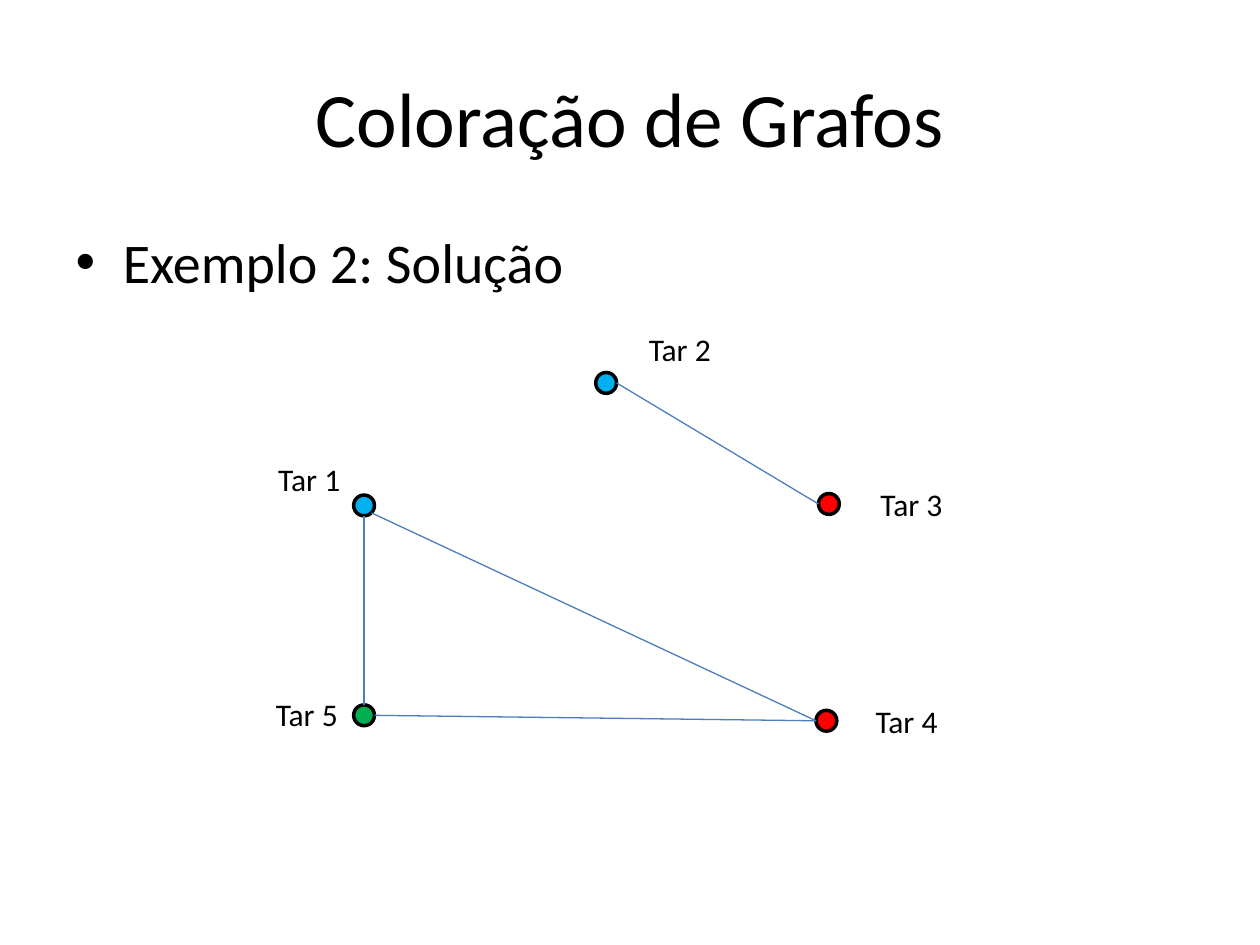
from lxml import etree
from pptx import Presentation
from pptx.dml.color import RGBColor
from pptx.enum.shapes import MSO_CONNECTOR, MSO_SHAPE
from pptx.enum.text import MSO_ANCHOR, MSO_AUTO_SIZE, PP_ALIGN
from pptx.oxml.ns import qn
from pptx.util import Cm, Pt

STRAIGHT = MSO_CONNECTOR.STRAIGHT
OVAL = MSO_SHAPE.OVAL
MIDDLE = MSO_ANCHOR.MIDDLE
CENTER = PP_ALIGN.CENTER
NO_AUTOFIT = MSO_AUTO_SIZE.NONE
FIT_SHAPE = MSO_AUTO_SIZE.SHAPE_TO_FIT_TEXT

BLACK = RGBColor(0x00, 0x00, 0x00)
BLUE = RGBColor(0x00, 0xB0, 0xF0)
GREEN = RGBColor(0x00, 0xB0, 0x50)
RED = RGBColor(0xFF, 0x00, 0x00)
EDGE_BLUE = RGBColor(0x4B, 0x7E, 0xBC)
FONT = "Calibri"

RADIUS = 0.21
DIAGONAL = 0.71 * RADIUS

# Name: (center in cm, label corner in cm, color)
TASKS = {
    "Tar 1": ((7.34, 10.19), (5.36, 9.14), BLUE),
    "Tar 5": ((7.34, 14.42), (5.31, 13.89), GREEN),
    "Tar 3": ((16.71, 10.16), (17.5, 9.65), RED),
    "Tar 2": ((12.22, 7.72), (12.83, 6.53), BLUE),
    "Tar 4": ((16.66, 14.53), (17.4, 14.02), RED),
}

# Offsets from a node's center to the points where edges touch it
SIDES = {
    "top": (0, -RADIUS),
    "left": (-RADIUS, 0),
    "bottom": (0, RADIUS),
    "right": (RADIUS, 0),
    "bottom right": (DIAGONAL, DIAGONAL),
}

EDGES = [
    (("Tar 2", "right"), ("Tar 3", "left")),
    (("Tar 1", "bottom right"), ("Tar 4", "left")),
    (("Tar 1", "bottom"), ("Tar 5", "top")),
    (("Tar 5", "right"), ("Tar 4", "left")),
]


def format_text(text_frame, size):
    for run in text_frame.paragraphs[0].runs:
        run.font.name = FONT
        run.font.size = Pt(size)
        run.font.color.rgb = BLACK


def fill_placeholder(placeholder, text, size, top, height):
    placeholder.left, placeholder.width = Cm(1.27), Cm(22.86)
    placeholder.top, placeholder.height = Cm(top), Cm(height)
    text_frame = placeholder.text_frame
    text_frame.text = text
    text_frame.auto_size = NO_AUTOFIT
    format_text(text_frame, size)
    return text_frame


def add_node(slide, center, color):
    x, y = center
    node = slide.shapes.add_shape(
        OVAL, Cm(x - RADIUS), Cm(y - RADIUS), Cm(2 * RADIUS), Cm(2 * RADIUS)
    )
    node.shadow.inherit = False
    node.fill.solid()
    node.fill.fore_color.rgb = color
    node.line.color.rgb = BLACK
    node.line.width = Pt(2)


def add_label(slide, text, corner):
    left, top = corner
    label = slide.shapes.add_textbox(Cm(left), Cm(top), Cm(1.78), Cm(1.02))
    text_frame = label.text_frame
    text_frame.text = text
    text_frame.word_wrap = False
    text_frame.auto_size = FIT_SHAPE
    format_text(text_frame, 18)


def contact_point(task, side):
    """Return where an edge touches the given side of a task's node."""
    (x, y), (dx, dy) = TASKS[task][0], SIDES[side]
    return Cm(x + dx), Cm(y + dy)


def add_edge(slide, start, end):
    edge = slide.shapes.add_connector(
        STRAIGHT, *contact_point(*start), *contact_point(*end)
    )
    edge.line.color.rgb = EDGE_BLUE
    edge.line.width = Pt(0.75)
    etree.SubElement(edge._element.spPr, qn("a:effectLst"))


def main():
    presentation = Presentation()
    presentation.slide_width, presentation.slide_height = Cm(25.4), Cm(19.05)
    slide = presentation.slides.add_slide(presentation.slide_layouts[1])
    title, body = slide.placeholders

    title_frame = fill_placeholder(title, "Coloração de Grafos", 44, 0.76, 3.18)
    title_frame.vertical_anchor = MIDDLE
    title_frame.paragraphs[0].alignment = CENTER
    body_frame = fill_placeholder(body, "Exemplo 2: Solução", 32, 4.45, 2.08)
    body_frame.paragraphs[0].space_before = Pt(0)

    for center, _, color in TASKS.values():
        add_node(slide, center, color)
    for name, (_, corner, _) in TASKS.items():
        add_label(slide, name, corner)
    for start, end in EDGES:
        add_edge(slide, start, end)

    presentation.save("out.pptx")


if __name__ == "__main__":
    main()
